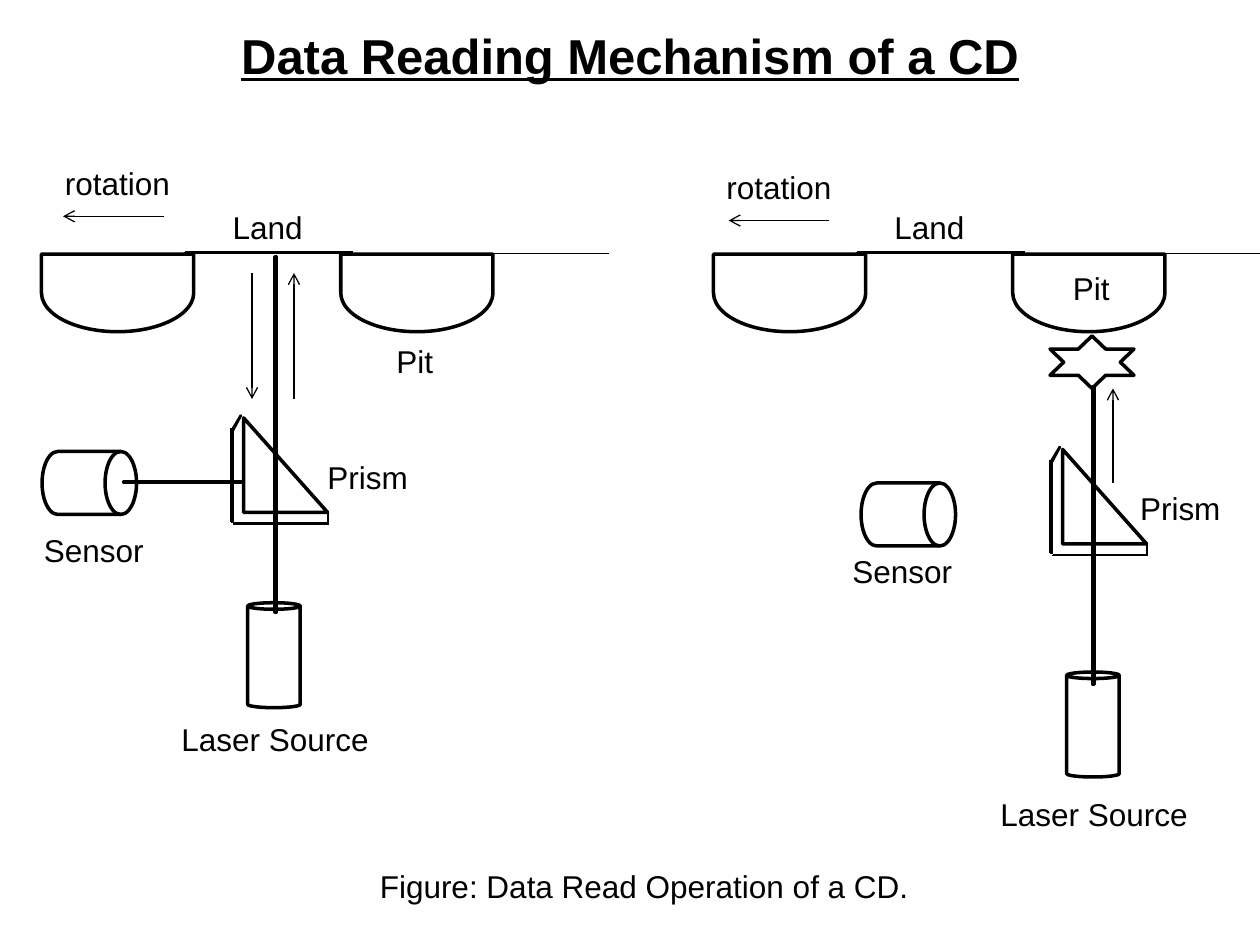
from dataclasses import dataclass
from typing import Any

import pptx
import pptx.dml.color
import pptx.enum.shapes
import pptx.enum.text
import pptx.oxml.ns
import pptx.util
from lxml import etree

COLUMNS = 120  # the 10 by 7.5 inch slide is a grid of 120 by 90 square cells
SLIDE_WIDTH, SLIDE_HEIGHT = pptx.util.Inches(10), pptx.util.Inches(7.5)
CELL = SLIDE_WIDTH / COLUMNS
COLORS = {"ink": "000000", "paper": "FFFFFF"}
FONT = "Arial"
THICK, THIN = 2, 0.75
BEAM_WIDTH = 0.12
LABEL_HEIGHT = 4.8
PIT_GAP = 28.5

SHAPES = pptx.enum.shapes.MSO_SHAPE
ALIGN = pptx.enum.text.PP_ALIGN

Point = tuple[float, float]
Segment = tuple[float, float, float, float]


@dataclass(frozen=True)
class Label:
    text: str
    column: float
    row: float
    width: float
    align: Any = ALIGN.LEFT


@dataclass(frozen=True)
class Panel:
    beams: list[Segment]  # left, top, width, height
    first_pit: float
    land: float
    sensor: Point
    prism: Point
    laser: Point
    arrows: list[Segment]
    labels: list[Label]
    flash: Point | None = None


PANELS = [
    Panel(
        beams=[(26.2, 24.5, BEAM_WIDTH, 33.8), (11.8, 45.85, 11.2, BEAM_WIDTH)],
        first_pit=7.5, land=16, sensor=(5.5, 41.5), prism=(23.2, 39.8), laser=(23.6, 57.4),
        arrows=[(24, 26, 24, 38), (28, 38, 28, 26), (15.6, 20.6, 6, 20.6)],
        labels=[
            Label("rotation", 5, 15, 13),
            Label("Pit", 34, 32, 11, ALIGN.CENTER),
            Label("Land", 18, 19.2, 15, ALIGN.CENTER),
            Label("Laser Source", 16.1, 68, 21),
            Label("Sensor", 3, 50, 12),
            Label("Prism", 30, 43, 12),
        ],
    ),
    Panel(
        beams=[(104.1, 36.8, BEAM_WIDTH, 28.4)],
        first_pit=71.5, land=80, sensor=(83.5, 44.5), prism=(101.2, 42.8), laser=(101.6, 64),
        arrows=[(106, 46, 106, 37), (79, 21, 69.4, 21)],
        labels=[
            Label("rotation", 68, 15.4, 13),
            Label("Pit", 101, 25, 7),
            Label("Land", 84, 19.2, 10),
            Label("Laser Source", 94.1, 75.1, 21),
            Label("Sensor", 80, 52, 12),
            Label("Prism", 107.4, 46, 12),
        ],
        flash=(100, 32),
    ),
]

# Strokes measured from the start of the land and from the corner of the prism.
LAND_STROKES = [(1.6, 24, 17.6, 24), (1.5, 24.1, 17.5, 24.1), (0, 24.15, 42, 24.15)]
PRISM_STROKES = [
    (-1, 1.1, -1, 10), (-1.2, 1, -1.2, 9.9), (-1.1, 1.1, -1.1, 10),
    (8, 10, -0.9, 10), (7.9, 10.1, -1, 10.1),
    (8.1, 9, 8.1, 10.2), (8, 9, 8, 10.2),
    (-0.2, -0.2, -1, 1.3), (-0.3, -0.3, -1.2, 1.2), (-0.2, -0.3, -1.1, 1.2),
]
FLASH_OUTLINE = [
    (0, 1.25), (2.7, 1.25), (4, 0), (5.3, 1.25), (8, 1.25), (6.7, 2.5),
    (8, 3.75), (5.3, 3.75), (4, 5), (2.7, 3.75), (0, 3.75), (1.3, 2.5),
]


def cells(*values: float) -> list[int]:
    return [round(value * CELL) for value in values]


def color(name: str) -> pptx.dml.color.RGBColor:
    return pptx.dml.color.RGBColor.from_string(COLORS[name])


def draw_outline(shape: Any, filled: bool = False) -> None:
    shape.shadow.inherit = False
    if filled:
        shape.fill.solid()
        shape.fill.fore_color.rgb = color("ink")
    else:
        shape.fill.background()
    shape.line.color.rgb = color("ink")
    shape.line.width = pptx.util.Pt(THICK)


def add_preset(shapes: Any, kind: Any, left: float, top: float, width: float, height: float,
               rotation: float = 0) -> Any:
    shape = shapes.add_shape(kind, *cells(left, top, width, height))
    shape.rotation = rotation
    draw_outline(shape)
    return shape


def add_polygon(shapes: Any, points: list[Point], filled: bool = False) -> None:
    start, *others = [tuple(cells(*point)) for point in points]
    builder = shapes.build_freeform(*start)
    builder.add_line_segments(others, close=True)
    draw_outline(builder.convert_to_shape(), filled)


def add_stroke(shapes: Any, segment: Segment, origin: Point = (0, 0), arrow: bool = False) -> None:
    x, y = origin
    x1, y1, x2, y2 = segment
    stroke = shapes.add_connector(
        pptx.enum.shapes.MSO_CONNECTOR.STRAIGHT, *cells(x + x1, y + y1, x + x2, y + y2))
    stroke.line.color.rgb = color("ink")
    stroke.line.width = pptx.util.Pt(THIN)
    if arrow:
        etree.SubElement(stroke.line._get_or_add_ln(), pptx.oxml.ns.qn("a:tailEnd"), type="arrow")
    etree.SubElement(stroke._element.spPr, pptx.oxml.ns.qn("a:effectLst"))


def write(shape: Any, text: str, *, size: float = 18, align: Any = ALIGN.LEFT,
          bold: bool = False, underline: bool = False) -> None:
    shape.text_frame.word_wrap = True
    paragraph = shape.text_frame.paragraphs[0]
    paragraph.alignment = align
    run = paragraph.add_run()
    run.text = text
    run.font.name, run.font.size = FONT, pptx.util.Pt(size)
    run.font.bold, run.font.underline = bold, underline
    run.font.color.rgb = color("ink")


def add_label(shapes: Any, label: Label) -> None:
    box = shapes.add_textbox(*cells(label.column, label.row, label.width, LABEL_HEIGHT))
    write(box, label.text, align=label.align)
    box.text_frame.auto_size = pptx.enum.text.MSO_AUTO_SIZE.SHAPE_TO_FIT_TEXT


def add_panel(slide: Any, panel: Panel) -> None:
    for left, top, width, height in panel.beams:
        right, bottom = left + width, top + height
        add_polygon(slide.shapes, [(left, top), (right, top), (right, bottom), (left, bottom)],
                    filled=True)
    shapes = slide.shapes.add_group_shape().shapes
    for pit in (panel.first_pit, panel.first_pit + PIT_GAP):
        add_preset(shapes, SHAPES.FLOWCHART_DELAY, pit, 20.65, 7.4, 14.5, rotation=90)
    for segment in LAND_STROKES:
        add_stroke(shapes, segment, (panel.land, 0))
    laser = add_preset(shapes, SHAPES.CAN, *panel.laser, 5, 10)
    laser.adjustments[0] = 0.125
    add_preset(shapes, SHAPES.FLOWCHART_MAGNETIC_DISK, *panel.sensor, 6, 9, rotation=90)
    add_preset(shapes, SHAPES.RIGHT_TRIANGLE, *panel.prism, 8, 9)
    for segment in PRISM_STROKES:
        add_stroke(shapes, segment, panel.prism)
    for segment in panel.arrows:
        add_stroke(shapes, segment, arrow=True)
    if panel.flash:
        left, top = panel.flash
        add_polygon(shapes, [(left + x, top + y) for x, y in FLASH_OUTLINE])
    for label in panel.labels:
        add_label(shapes, label)


def main() -> None:
    presentation = pptx.Presentation()
    presentation.slide_width, presentation.slide_height = SLIDE_WIDTH, SLIDE_HEIGHT
    slide = presentation.slides.add_slide(presentation.slide_layouts.get_by_name("Title Only"))
    slide.background.fill.solid()
    slide.background.fill.fore_color.rgb = color("paper")
    title = slide.shapes.title
    title.left, title.top, title.width, title.height = cells(6, 2, 108, 6.4)
    title.text_frame.vertical_anchor = pptx.enum.text.MSO_ANCHOR.MIDDLE
    write(title, "Data Reading Mechanism of a CD", size=28, align=ALIGN.CENTER,
          bold=True, underline=True)
    for panel in PANELS:
        add_panel(slide, panel)
    add_label(slide.shapes, Label("Figure: Data Read Operation of a CD.", 35, 82, 54))
    presentation.save("out.pptx")


if __name__ == "__main__":
    main()
